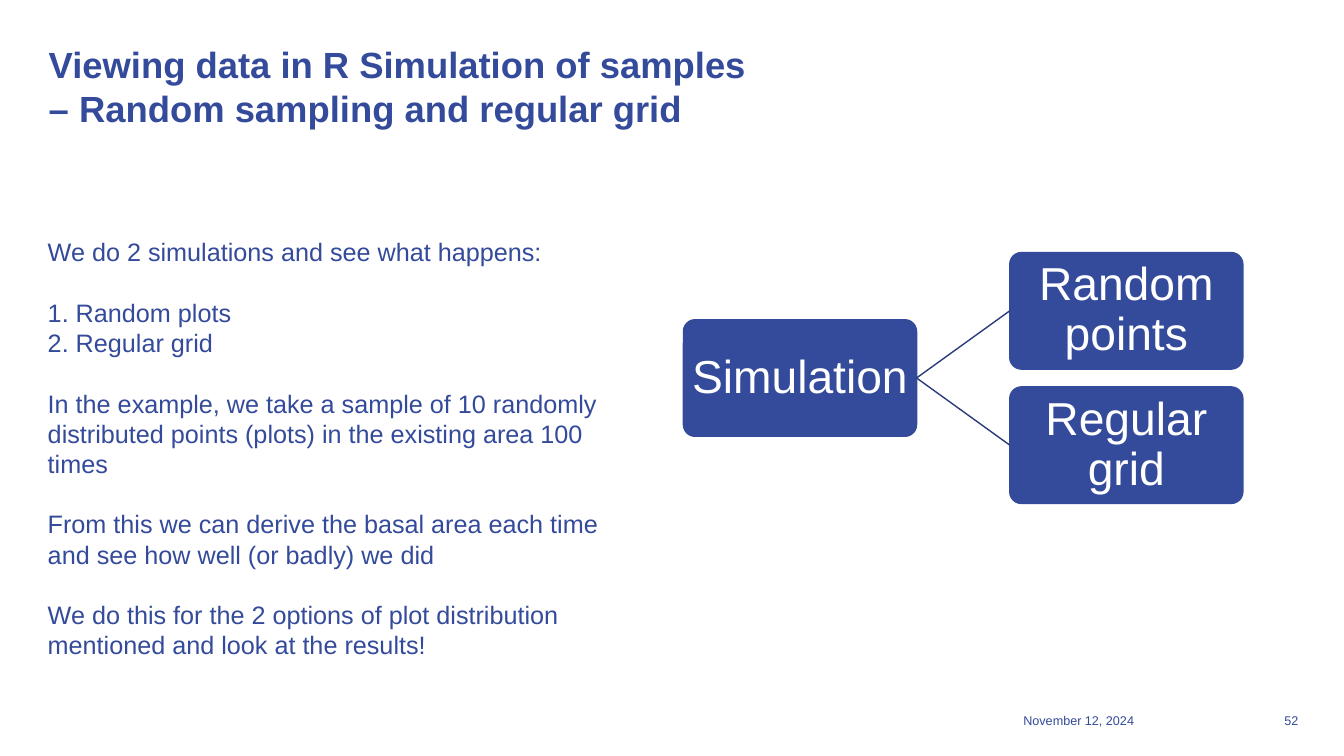
from pptx import Presentation
from pptx import util as u
from pptx.dml.color import RGBColor
from pptx.enum import shapes, text
from pptx.oxml import parse_xml
from pptx.oxml.ns import nsdecls

Pt = u.Pt
BLUE = RGBColor(0x34, 0x4A, 0x9A)
NAVY = RGBColor(0x2A, 0x3B, 0x7B)
WHITE = RGBColor(0xFF, 0xFF, 0xFF)
LEFT, RIGHT, MID = text.PP_ALIGN.LEFT, text.PP_ALIGN.RIGHT, text.PP_ALIGN.CENTER

TITLE = "Viewing data in R Simulation of samples – Random sampling and regular grid"
BODY = [
    ["We do 2 simulations and see what happens:"],
    ["1. Random plots", "2. Regular grid"],
    ["In the example, we take a sample of 10 randomly distributed points "
     "(plots) in the existing area 100 times"],
    ["From this we can derive the basal area each time and see how well (or badly) we did"],
    ["We do this for the 2 options of plot distribution mentioned and look at the results!"],
]


def write(frame, groups, size, color=BLUE, bold=False, align=LEFT, pitch=None,
          inset=(0, 0, 0, 0), anchor=text.MSO_ANCHOR.TOP):
    """Fill a text frame with groups of paragraphs, one line apart."""
    frame.word_wrap = True
    frame.vertical_anchor = anchor
    (frame.margin_left, frame.margin_top,
     frame.margin_right, frame.margin_bottom) = map(Pt, inset)
    first = True
    for group in groups:
        for row, line in enumerate(group):
            para = frame.paragraphs[0] if first else frame.add_paragraph()
            para.alignment = align
            if pitch:
                para.line_spacing = pitch
            if row == 0 and not first:
                para.space_before = pitch
            run = para.add_run()
            run.text = line
            run.font.name, run.font.size = "Arial", Pt(size)
            run.font.bold, run.font.color.rgb = bold, color
            first = False


def label(slide, box, groups, size, **style):
    """Place a text box."""
    write(slide.shapes.add_textbox(*map(Pt, box)).text_frame, groups, size, **style)


def node(slide, box, name):
    """Draw one rounded box of the tree."""
    shape = slide.shapes.add_shape(shapes.MSO_SHAPE.ROUNDED_RECTANGLE, *map(Pt, box))
    shape.adjustments[0] = 0.1
    shape.shadow.inherit = False
    shape.fill.solid()
    shape.fill.fore_color.rgb = BLUE
    shape.line.color.rgb = BLUE
    shape.line.width = Pt(1)
    write(shape.text_frame, [[name]], 33, color=WHITE, align=MID, pitch=0.9,
          inset=(3, 4, 3, 4), anchor=text.MSO_ANCHOR.MIDDLE)
    return shape


def tree(slide, box, root, names):
    """Draw a root box joined to a column of leaf boxes."""
    left, top, width, height = box
    wide = width / 2.4
    tall = wide / 2
    step = (height - tall) / (len(names) - 1)
    start = node(slide, (left, top + (height - tall) / 2, wide, tall), root)
    for row, name in enumerate(names):
        leaf = node(slide, (left + 1.4 * wide, top + row * step, wide, tall), name)
        link = slide.shapes.add_connector(shapes.MSO_CONNECTOR.STRAIGHT, 0, 0, 0, 0)
        link.begin_connect(start, 3)
        link.end_connect(leaf, 1)
        link.line.color.rgb = NAVY
        link.line.width = Pt(1)
        link._element.spPr.append(parse_xml(f"<a:effectLst {nsdecls('a')}/>"))


def footer(slide, box, date, page):
    """Place the date on the left and the page number on the right."""
    left, top, width, height = box
    label(slide, (left, top, 113, height), [[date]], 9, inset=(3, 0, 0, 0))
    label(slide, (left + width - 28, top, 28, height), [[page]], 9, align=RIGHT)


def main():
    """Build the slide and save it."""
    deck = Presentation()
    deck.slide_width, deck.slide_height = Pt(960), Pt(540)
    slide = deck.slides.add_slide(deck.slide_layouts[6])
    label(slide, (34.8, 29, 510.5, 104), [[TITLE]], 26, bold=True, pitch=Pt(32))
    label(slide, (27, 165.5, 422, 312.5), BODY, 18, pitch=Pt(21.6),
          inset=(7.2, 3.6, 7.2, 3.6))
    tree(slide, (488.2, 180.4, 399.6, 179.2), "Simulation",
         ["Random points", "Regular grid"])
    footer(slide, (728, 509, 199.5, 14.4), "November 12, 2024", "52")
    deck.save("out.pptx")


if __name__ == "__main__":
    main()
